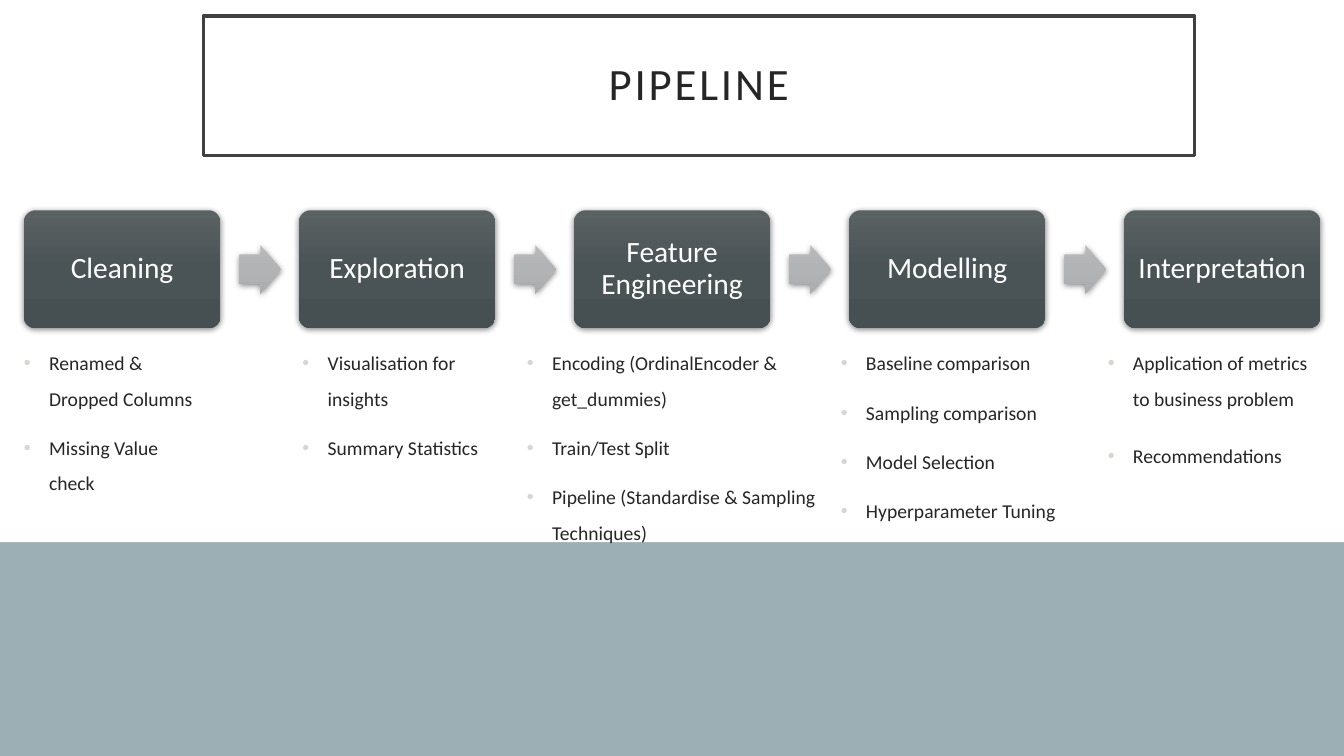
"""Build the pipeline slide: five stages joined by arrows, each with its bulleted tasks."""
from typing import NamedTuple

from lxml.etree import SubElement
from pptx import Presentation
from pptx.dml.color import RGBColor
from pptx.enum.shapes import MSO_SHAPE as Preset
from pptx.enum.text import MSO_ANCHOR as Anchor, PP_ALIGN as Align
from pptx.oxml.ns import qn
from pptx.shapes.autoshape import Shape
from pptx.slide import Slide
from pptx.text.text import TextFrame, _Paragraph as Paragraph
from pptx.util import Pt

FONT = "Calibri"
INK, WHITE, BORDER, BULLET, BACKDROP = "262626", "FFFFFF", "404040", "D9D6D1", "9BAFB5"
CARD_SHADES = ("5A6163", "4A5356", "465053")
ARROW_SHADES = ("B8BABA", "B2B3B4", "AAACAD")
FIRST_CARD_LEFT, CARD_PITCH = 17, 196.45
ARROW_OFFSET = 154
TASKS_TOP, TASKS_HEIGHT = 239, 295


class Box(NamedTuple):
    left: float
    top: float
    width: float
    height: float


class Stage(NamedTuple):
    name: str
    tasks_left: float
    tasks_width: float
    tasks: tuple[str, ...]
    gap: float = 10


STAGES = (
    Stage("Cleaning", 10, 144, ("Renamed & Dropped Columns", "Missing Value check")),
    Stage("Exploration", 209, 144, ("Visualisation for insights", "Summary Statistics")),
    Stage("Feature Engineering", 369.3, 224.6, (
        "Encoding (OrdinalEncoder & get_dummies)",
        "Train/Test Split",
        "Pipeline (Standardise & Sampling Techniques)",
    )),
    Stage("Modelling", 593.5, 174, (
        "Baseline comparison",
        "Sampling comparison",
        "Model Selection",
        "Hyperparameter Tuning",
    )),
    Stage("Interpretation", 784.2, 159, (
        "Application of metrics to business problem",
        "Recommendations",
    ), gap=16),
)


def color(code: str) -> RGBColor:
    """Turn a hex string into a colour."""
    return RGBColor.from_string(code)


def add_preset(slide: Slide, preset: Preset, box: Box) -> Shape:
    """Add a preset shape without outline or shadow."""
    shape = slide.shapes.add_shape(preset, *map(Pt, box))
    shape.shadow.inherit = False
    shape.line.fill.background()
    return shape


def add_panel(slide: Slide, box: Box) -> Shape:
    """Add a plain white rectangle."""
    panel = add_preset(slide, Preset.RECTANGLE, box)
    panel.fill.solid()
    panel.fill.fore_color.rgb = color(WHITE)
    return panel


def shade(shape: Shape, shades: tuple[str, ...]) -> None:
    """Give a shape a top-down gradient and a soft shadow."""
    shape.fill.gradient()
    shape.fill.gradient_angle = 270
    properties = shape._element.spPr
    stops = properties.find(".//" + qn("a:gsLst"))
    for stop in list(stops):
        stops.remove(stop)
    for index, code in enumerate(shades):
        position = 100000 * index // (len(shades) - 1)
        stop = SubElement(stops, qn("a:gs"), pos=str(position))
        SubElement(stop, qn("a:srgbClr"), val=code)
    shadow = SubElement(
        properties.find(qn("a:effectLst")), qn("a:outerShdw"),
        blurRad=str(Pt(4.4)), dist=str(Pt(1.2)), dir="5400000", rotWithShape="0",
    )
    tint = SubElement(shadow, qn("a:srgbClr"), val="000000")
    SubElement(tint, qn("a:alpha"), val="45000")


def style_runs(paragraph: Paragraph, size: float, code: str) -> None:
    """Set font, size and colour on every run."""
    for run in paragraph.runs:
        run.font.name = FONT
        run.font.size = Pt(size)
        run.font.color.rgb = color(code)


def set_label(shape: Shape, text: str, size: float, code: str, inset: float) -> TextFrame:
    """Write one centred label inside a shape."""
    frame = shape.text_frame
    frame.text = text
    frame.word_wrap = True
    frame.vertical_anchor = Anchor.MIDDLE
    frame.margin_left = frame.margin_right = Pt(inset)
    frame.margin_top = frame.margin_bottom = Pt(inset)
    label = frame.paragraphs[0]
    label.alignment = Align.CENTER
    label.line_spacing = 0.9
    style_runs(label, size, code)
    return frame


def add_title(slide: Slide) -> None:
    """Add the framed slide title."""
    title = add_panel(slide, Box(145.2, 11.5, 708, 99.5))
    title.line.color.rgb = color(BORDER)
    title.line.width = Pt(2.5)
    frame = set_label(title, "PIPELINE", 32, INK, 14.4)
    frame.paragraphs[0].runs[0].font._element.set("spc", "200")


def add_card(slide: Slide, left: float, name: str) -> None:
    """Add the card of one stage."""
    card = add_preset(slide, Preset.ROUNDED_RECTANGLE, Box(left, 150.2, 140.4, 84.2))
    card.adjustments[0] = 0.1
    shade(card, CARD_SHADES)
    set_label(card, name, 21, WHITE, 6.5)


def add_arrow(slide: Slide, left: float) -> None:
    """Add the arrow that leads to the next stage."""
    arrow = add_preset(slide, Preset.RIGHT_ARROW, Box(left, 175, 29.8, 34.8))
    arrow.adjustments[0] = 0.6
    arrow.adjustments[1] = 0.5
    shade(arrow, ARROW_SHADES)


def add_tasks(slide: Slide, stage: Stage) -> None:
    """Add the bulleted tasks of one stage."""
    box = Box(stage.tasks_left, TASKS_TOP, stage.tasks_width, TASKS_HEIGHT)
    frame = slide.shapes.add_textbox(*map(Pt, box)).text_frame
    frame.word_wrap = True
    for index, text in enumerate(stage.tasks):
        task = frame.add_paragraph() if index else frame.paragraphs[0]
        task.text = text
        properties = task._p.get_or_add_pPr()
        properties.set("marL", str(Pt(18)))
        properties.set("indent", str(-Pt(18)))
        SubElement(SubElement(properties, qn("a:buClr")), qn("a:srgbClr"), val=BULLET)
        SubElement(properties, qn("a:buFont"), typeface="Arial")
        SubElement(properties, qn("a:buChar"), char="•")
        task.line_spacing = 1.5
        task.space_before = Pt(stage.gap if index else 0)
        style_runs(task, 14, INK)


def main() -> None:
    """Build and save the slide."""
    deck = Presentation()
    deck.slide_width, deck.slide_height = Pt(960), Pt(540)
    slide = deck.slides.add_slide(deck.slide_layouts[6])
    slide.background.fill.solid()
    slide.background.fill.fore_color.rgb = color(BACKDROP)
    add_panel(slide, Box(0, 0, 960, 387.2))
    add_title(slide)
    for index, stage in enumerate(STAGES):
        left = FIRST_CARD_LEFT + index * CARD_PITCH
        add_card(slide, left, stage.name)
        if index < len(STAGES) - 1:
            add_arrow(slide, left + ARROW_OFFSET)
        add_tasks(slide, stage)
    deck.save("out.pptx")


if __name__ == "__main__":
    main()
